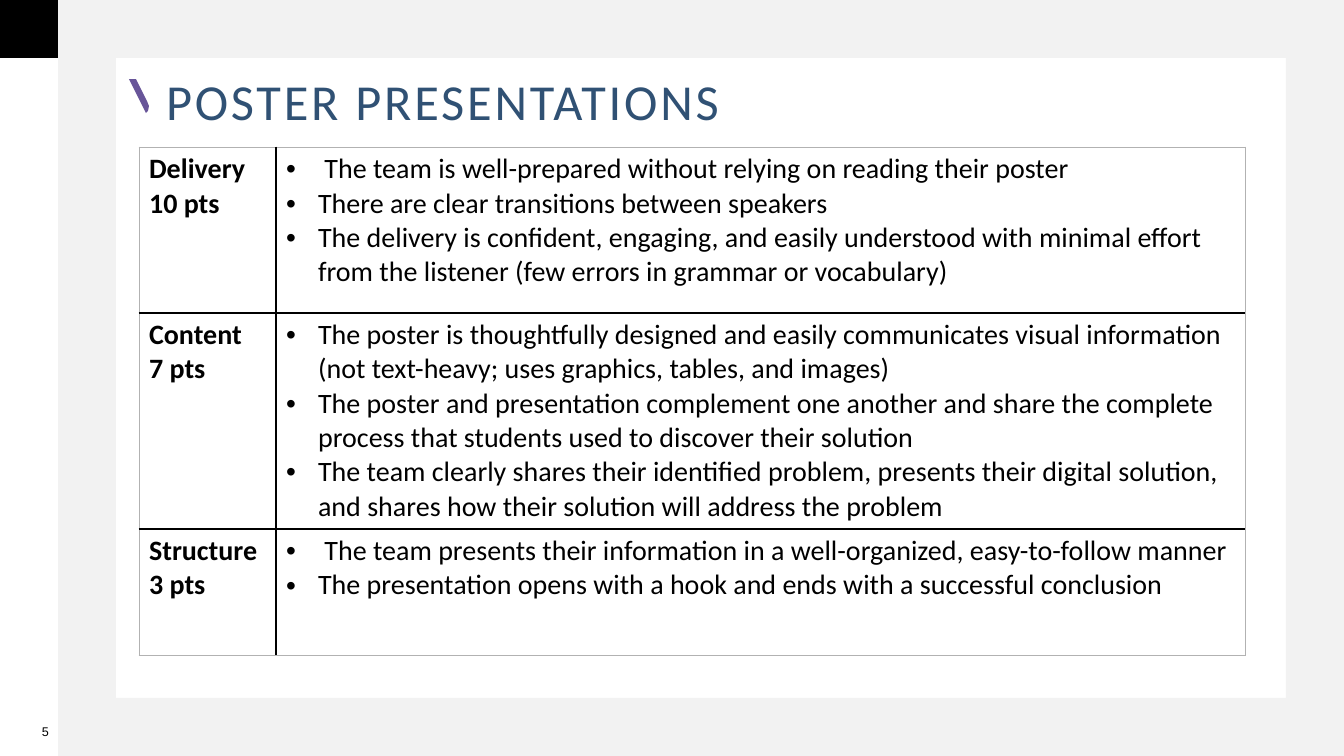
from dataclasses import dataclass

import pptx
import pptx.dml.color
import pptx.enum.shapes
import pptx.enum.text
import pptx.oxml
import pptx.oxml.ns
import pptx.util

RGBColor = pptx.dml.color.RGBColor
BLACK = RGBColor(0x00, 0x00, 0x00)
WHITE = RGBColor(0xFF, 0xFF, 0xFF)
FRAME_GREY = RGBColor(0xF2, 0xF2, 0xF2)
BORDER_GREY = RGBColor(0xB2, 0xB2, 0xB2)
PURPLE = RGBColor(0x68, 0x55, 0x99)
TITLE_BLUE = RGBColor(0x30, 0x51, 0x74)

EMU_PER_PX = 914400 / 100.8
SLIDE_WIDTH, SLIDE_HEIGHT = 1344, 756
SIDEBAR = 58
BULLET_INDENT = 32


@dataclass(frozen=True)
class Block:
    preset: pptx.enum.shapes.MSO_SHAPE
    left: int
    top: int
    width: int
    height: int
    color: RGBColor


@dataclass(frozen=True)
class Label:
    text: str
    left: int
    top: int
    width: int
    height: int
    font: str
    size: int
    color: RGBColor
    spacing: int  # hundredths of a point
    inset: int
    wrap: bool
    alignment: pptx.enum.text.PP_ALIGN
    anchor: pptx.enum.text.MSO_ANCHOR
    line_spacing: float


@dataclass(frozen=True)
class Criterion:
    name: str
    points: str
    height: int
    bullets: tuple[str, ...]


BLOCKS = [
    Block(pptx.enum.shapes.MSO_SHAPE.RECTANGLE, 0, 0, SIDEBAR, SIDEBAR, BLACK),
    Block(pptx.enum.shapes.MSO_SHAPE.FRAME, SIDEBAR, 0,
          SLIDE_WIDTH - SIDEBAR, SLIDE_HEIGHT, FRAME_GREY),
]
LABELS = [
    Label("5", 7, 724, 73, 72, "Arial", 9, BLACK, 400, 4, False,
          pptx.enum.text.PP_ALIGN.CENTER, pptx.enum.text.MSO_ANCHOR.TOP, 1.0),
    Label("POSTER PRESENTATIONS", 166, 75, 1159, 58, "Calibri", 36, TITLE_BLUE, 200, 0, True,
          pptx.enum.text.PP_ALIGN.LEFT, pptx.enum.text.MSO_ANCHOR.MIDDLE, 0.9),
]
ACCENT_OUTLINE = [(129, 79), (136, 79), (147, 101), (149, 106), (148, 111), (146, 113)]
TABLE_LEFT, TABLE_TOP = 139, 147
COLUMN_WIDTHS = (137, 969)
CRITERIA = [
    Criterion("Delivery", "10 pts", 166, (
        " The team is well-prepared without relying on reading their poster",
        "There are clear transitions between speakers",
        "The delivery is confident, engaging, and easily understood with minimal effort "
        "from the listener (few errors in grammar or vocabulary)",
    )),
    Criterion("Content", "7 pts", 216, (
        "The poster is thoughtfully designed and easily communicates visual information "
        "(not text-heavy; uses graphics, tables, and images)",
        "The poster and presentation complement one another and share the complete "
        "process that students used to discover their solution",
        "The team clearly shares their identified problem, presents their digital solution, "
        "and shares how their solution will address the problem",
    )),
    Criterion("Structure", "3 pts", 127, (
        " The team presents their information in a well-organized, easy-to-follow manner",
        "The presentation opens with a hook and ends with a successful conclusion",
    )),
]


def px(length: int) -> int:
    return round(length * EMU_PER_PX)


def paint(shape, color: RGBColor) -> None:
    shape.shadow.inherit = False
    shape.fill.solid()
    shape.fill.fore_color.rgb = color
    shape.line.fill.background()


def add_block(slide, block: Block):
    shape = slide.shapes.add_shape(
        block.preset, px(block.left), px(block.top), px(block.width), px(block.height))
    paint(shape, block.color)
    return shape


def add_label(slide, label: Label) -> None:
    shape = slide.shapes.add_textbox(
        px(label.left), px(label.top), px(label.width), px(label.height))
    frame = shape.text_frame
    frame.word_wrap = label.wrap
    frame.vertical_anchor = label.anchor
    frame.margin_left = px(label.inset)
    frame.margin_right = frame.margin_top = frame.margin_bottom = 0
    paragraph = frame.paragraphs[0]
    paragraph.alignment = label.alignment
    paragraph.line_spacing = label.line_spacing
    run = paragraph.add_run()
    run.text = label.text
    run.font.name = label.font
    run.font.size = pptx.util.Pt(label.size)
    run.font.color.rgb = label.color
    run.font._element.set("spc", str(label.spacing))


def add_accent(slide) -> None:
    builder = slide.shapes.build_freeform(*ACCENT_OUTLINE[0], scale=EMU_PER_PX)
    builder.add_line_segments(ACCENT_OUTLINE[1:], close=True)
    paint(builder.convert_to_shape(), PURPLE)


def set_borders(cell, outer_sides: set[str]) -> None:
    properties = cell._tc.get_or_add_tcPr()
    for index, side in enumerate("LRTB"):
        color, width = (BORDER_GREY, 0.75) if side in outer_sides else (BLACK, 1)
        properties.insert(index, pptx.oxml.parse_xml(
            f'<a:ln{side} {pptx.oxml.ns.nsdecls("a")} w="{pptx.util.Pt(width)}">'
            f'<a:solidFill><a:srgbClr val="{color}"/></a:solidFill></a:ln{side}>'))


def add_bullet(paragraph) -> None:
    properties = paragraph._p.get_or_add_pPr()
    properties.set("marL", str(px(BULLET_INDENT)))
    properties.set("indent", str(-px(BULLET_INDENT)))
    for tag in ('buFont typeface="Arial"', 'buChar char="•"'):
        properties.append(pptx.oxml.parse_xml(f'<a:{tag} {pptx.oxml.ns.nsdecls("a")}/>'))


def fill_cell(cell, lines: tuple[str, ...], is_heading: bool) -> None:
    cell.fill.background()
    cell.text_frame.text = "\n".join(lines)
    for paragraph in cell.text_frame.paragraphs:
        paragraph.font.name = "Calibri"
        paragraph.font.size = pptx.util.Pt(20)
        paragraph.font.bold = is_heading
        paragraph.font.color.rgb = BLACK
        if not is_heading:
            # Bullet marks go ahead of the paragraph's default font
            add_bullet(paragraph)
            properties = paragraph._p.get_or_add_pPr()
            properties.append(properties.find(pptx.oxml.ns.qn("a:defRPr")))
        for run in paragraph.runs:
            run.font.name = "Calibri"
            run.font.size = pptx.util.Pt(20)
            run.font.bold = is_heading
            run.font.color.rgb = BLACK


def add_rubric(slide) -> None:
    table = slide.shapes.add_table(
        len(CRITERIA), len(COLUMN_WIDTHS), px(TABLE_LEFT), px(TABLE_TOP),
        px(sum(COLUMN_WIDTHS)), px(sum(item.height for item in CRITERIA))).table
    table.first_row = table.horz_banding = False
    for column, width in zip(table.columns, COLUMN_WIDTHS):
        column.width = px(width)
    for index, criterion in enumerate(CRITERIA):
        table.rows[index].height = px(criterion.height)
        outer_rows = {"T"} if index == 0 else {"B"} if index == len(CRITERIA) - 1 else set()
        heading, details = table.cell(index, 0), table.cell(index, 1)
        fill_cell(heading, (criterion.name, criterion.points), True)
        fill_cell(details, criterion.bullets, False)
        set_borders(heading, outer_rows | {"L"})
        set_borders(details, outer_rows | {"R"})


def main() -> None:
    presentation = pptx.Presentation()
    presentation.slide_width = px(SLIDE_WIDTH)
    presentation.slide_height = px(SLIDE_HEIGHT)
    slide = presentation.slides.add_slide(presentation.slide_layouts[6])
    slide.background.fill.solid()
    slide.background.fill.fore_color.rgb = WHITE

    # Corner square and grey frame
    _, frame = [add_block(slide, block) for block in BLOCKS]
    frame.adjustments[0] = SIDEBAR / SLIDE_HEIGHT

    # Title stroke, title and page number
    add_accent(slide)
    for label in LABELS:
        add_label(slide, label)

    # Scoring table
    add_rubric(slide)
    presentation.save("out.pptx")


if __name__ == "__main__":
    main()
